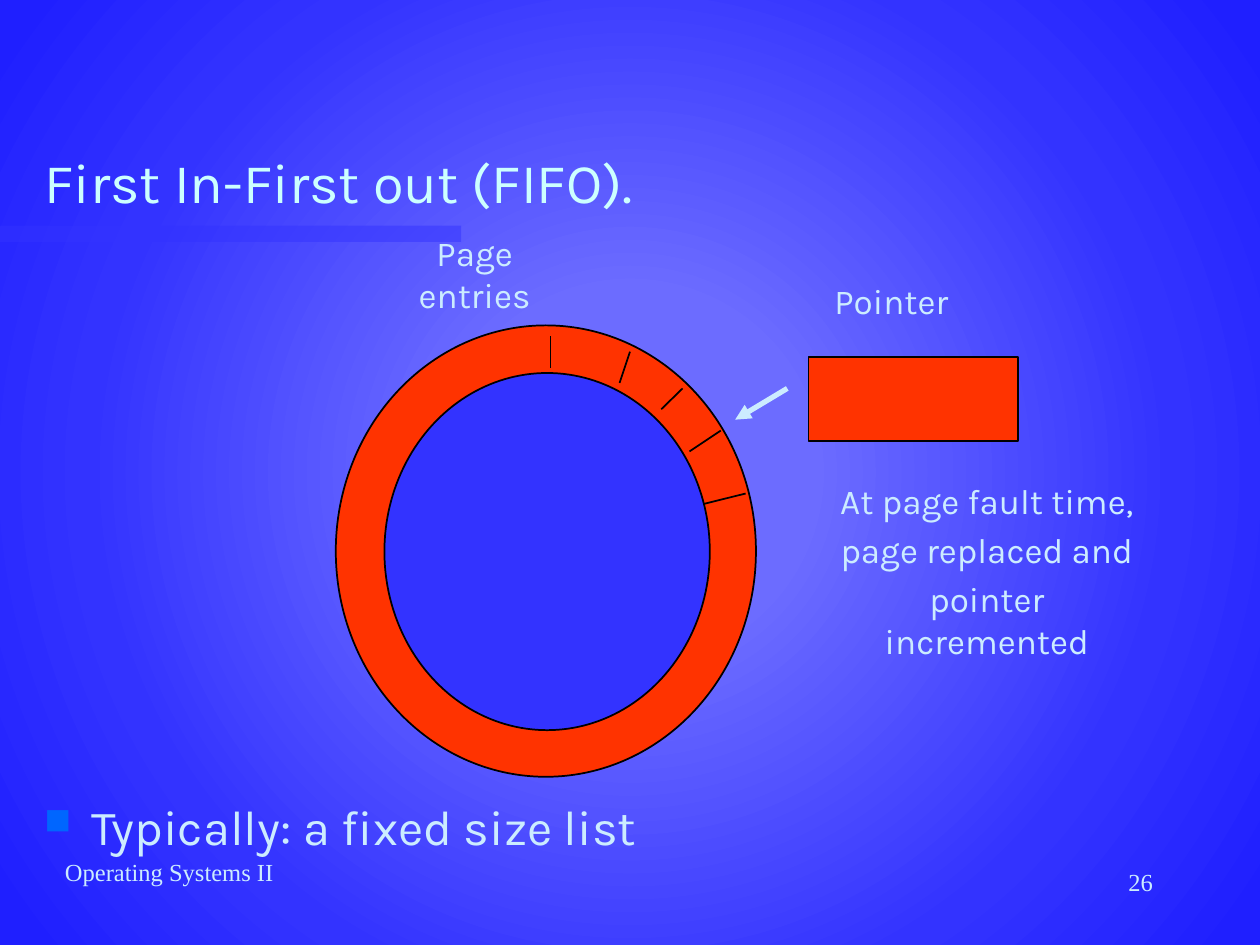
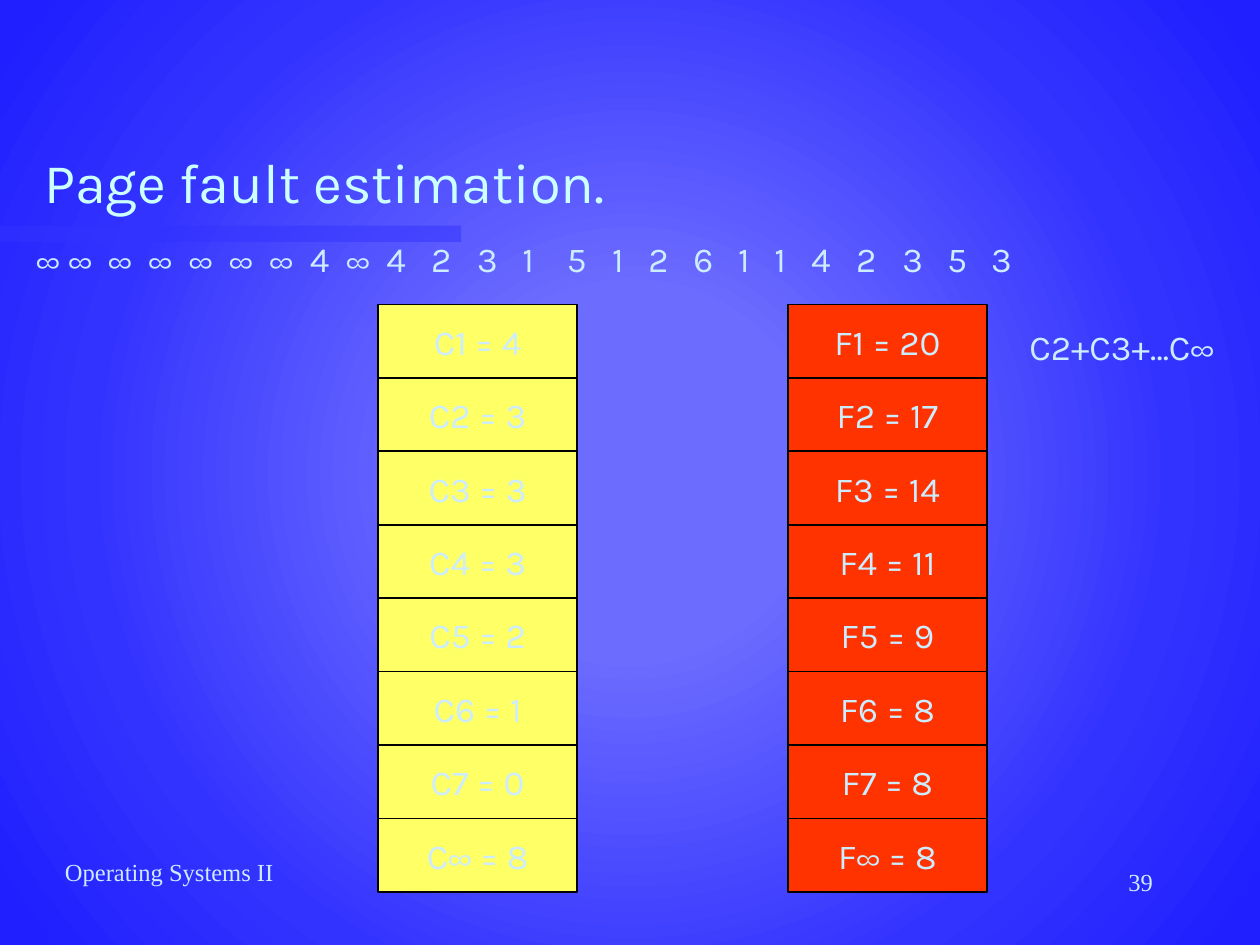
from lxml import etree
from pptx import Presentation
from pptx.dml.color import RGBColor
from pptx.enum.shapes import MSO_CONNECTOR, MSO_SHAPE
from pptx.enum.text import MSO_ANCHOR as ANCHOR, PP_ALIGN as ALIGN
from pptx.oxml import parse_xml
from pptx.oxml.ns import nsdecls, qn
from pptx.util import Cm, Pt

rgb = RGBColor.from_string
RED, YELLOW, BLUE, BLACK = "FF3300", "FFFF66", "3333FF", "000000"
PALE, TITLE_COLOUR, BULLET_COLOUR = "CCECFF", "CCFFFF", "0066FF"

LABEL = {"size": Pt(20), "name": "Karla"}
TITLE = {"size": Pt(32), "name": "Karla"}
BODY = {"size": Pt(28), "name": "Karla"}
FOOTER = {"size": Pt(14), "name": "Times New Roman"}


def write(shape, text, font=LABEL, colour=PALE, align=ALIGN.CENTER, before=4, **frame_format):
    """Fill the shape with one paragraph per line of text and return its frame."""
    frame = shape.text_frame
    settings = {"word_wrap": False, "vertical_anchor": ANCHOR.MIDDLE, **frame_format}
    for attribute, value in settings.items():
        setattr(frame, attribute, value)
    frame.text = text
    for paragraph in frame.paragraphs:
        paragraph.alignment = align
        paragraph.space_before = Pt(before)
        for attribute, value in font.items():
            setattr(paragraph.runs[0].font, attribute, value)
        paragraph.runs[0].font.color.rgb = rgb(colour)
    return frame


def add_filled(slide, preset, box, fill, outlined=True):
    shape = slide.shapes.add_shape(preset, *map(Cm, box))
    shape.shadow.inherit = False
    shape.fill.solid()
    shape.fill.fore_color.rgb = rgb(fill)
    if outlined:
        shape.line.color.rgb = rgb(BLACK)
        shape.line.width = Pt(1)
    else:
        shape.line.fill.background()
    return shape


prs = Presentation()
prs.slide_width, prs.slide_height = Cm(25.4), Cm(19.05)

# Shared radial background
master = prs.slide_master
master.background.fill.gradient()
gradient = master.element.find(".//" + qn("a:gradFill"))
stops = "".join(
    f'<a:gs pos="{percent * 1000}"><a:srgbClr val="{colour}"/></a:gs>'
    for percent, colour in [(0, "6C6CFF"), (23, "6C6CFF"), (69, BLUE), (97, "1F1FFF")]
)
gradient.getparent().replace(gradient, parse_xml(
    f'<a:gradFill {nsdecls("a")} rotWithShape="0"><a:gsLst>{stops}</a:gsLst><a:path path="circle">'
    '<a:fillToRect l="50000" t="50000" r="50000" b="50000"/></a:path></a:gradFill>'
))

# Shared band, footer, page number and title
slides = []
for title, page in [("First In-First out (FIFO).", "26"), ("Page fault estimation.", "39")]:
    slide = prs.slides.add_slide(prs.slide_layouts[6])
    band = add_filled(slide, MSO_SHAPE.RECTANGLE, (0, 4.55, 9.3, 0.33), BLUE, outlined=False)
    band_colour = band.fill._xPr.find(".//" + qn("a:srgbClr"))
    etree.SubElement(band_colour, qn("a:alpha"), val="50000")
    for text, box, font, colour, align, anchor in [
        ("Operating Systems II", (1.06, 17.15, 8.05, 1.27), FOOTER, PALE, ALIGN.LEFT, ANCHOR.TOP),
        (page, (18.2, 17.36, 5.29, 1.27), FOOTER, PALE, ALIGN.RIGHT, ANCHOR.TOP),
        (title, (0.64, 1.27, 21.59, 3.18), TITLE, TITLE_COLOUR, ALIGN.LEFT, ANCHOR.BOTTOM),
    ]:
        write(slide.shapes.add_textbox(*map(Cm, box)), text, font, colour, align,
              before=2 if font is FOOTER else 0, word_wrap=True, vertical_anchor=anchor)
    slides.append(slide)
fifo, estimation = slides

# FIFO: bullet below the ring
typical_list = fifo.shapes.add_textbox(*map(Cm, (0.64, 15.93, 21.59, 1.47)))
typical = write(typical_list, "Typically: a fixed size list", BODY, align=ALIGN.LEFT, before=2,
                word_wrap=True, vertical_anchor=ANCHOR.TOP).paragraphs[0]
bullet = typical._p.get_or_add_pPr()
bullet.set("marL", str(Cm(0.95)))
bullet.set("indent", str(-Cm(0.95)))
bullet_colour = etree.SubElement(bullet, qn("a:buClr"))
etree.SubElement(bullet_colour, qn("a:srgbClr"), val=BULLET_COLOUR)
etree.SubElement(bullet, qn("a:buSzPct"), val="75000")
etree.SubElement(bullet, qn("a:buChar"), char="■")

# FIFO: ring of page entries and the pointer
for preset, box, fill in [
    (MSO_SHAPE.OVAL, (6.77, 6.56, 8.47, 9.1), RED),
    (MSO_SHAPE.OVAL, (7.75, 7.52, 6.56, 7.2), BLUE),
    (MSO_SHAPE.RECTANGLE, (16.3, 7.2, 4.23, 1.69), RED),
]:
    add_filled(fifo, preset, box, fill)

pointer_arrow = (15.87, 7.83, 14.82, 8.46)
entry_dividers = [
    (11.1, 7.41, 11.1, 6.77),
    (12.49, 7.72, 12.7, 7.09),
    (13.33, 8.25, 13.76, 7.83),
    (13.9, 9.1, 14.53, 8.68),
    (14.18, 10.16, 15.03, 9.95),
]
for ends in [pointer_arrow, *entry_dividers]:
    is_pointer = ends is pointer_arrow
    line = fifo.shapes.add_connector(MSO_CONNECTOR.STRAIGHT, *map(Cm, ends))
    line.line.color.rgb = rgb(PALE if is_pointer else BLACK)
    line.line.width = Pt(3 if is_pointer else 1)
    if is_pointer:
        etree.SubElement(line.line._get_or_add_ln(), qn("a:tailEnd"), type="triangle")
    etree.SubElement(line._element.spPr, qn("a:effectLst"))

for text, box, frame_format in [
    ("Pointer", (16.51, 5.5, 2.92, 1.1), {}),
    ("Page entries", (8.2, 4.96, 4.34, 1.1),
     {"word_wrap": True, "margin_left": 0, "margin_right": Cm(1.6)}),
    ("At page fault time,\npage replaced and\npointer incremented",
     (16.51, 9.95, 6.77, 3.12), {"word_wrap": True}),
]:
    write(fifo.shapes.add_textbox(*map(Cm, box)), text, **frame_format)

# Page fault estimation: stack distances, aligned on tab stops
distances = "∞ ∞ ∞ ∞ ∞ ∞ ∞ 4 ∞ 4 2 3 1 5 1 2 6 1 1 4 2 3 5 3".split()
distance_stops = [
    0.65, 1.45, 2.26, 3.08, 3.89, 4.7, 5.52, 6.25, 7.06, 7.96, 8.89, 9.8,
    10.7, 11.61, 12.34, 13.25, 14.15, 14.88, 15.62, 16.53, 17.46, 18.37, 19.25,
]
distance_row = estimation.shapes.add_textbox(*map(Cm, (0.48, 4.65, 24.8, 1.12)))
sequence = write(distance_row, "\t".join(distances), align=ALIGN.LEFT, word_wrap=True).paragraphs[0]
tab_list = etree.SubElement(sequence._p.get_or_add_pPr(), qn("a:tabLst"))
for stop in distance_stops:
    etree.SubElement(tab_list, qn("a:tab"), pos=str(Cm(stop)), algn="l")

# Page fault estimation: counts and resulting faults
ROW_TOP, ROW_HEIGHT, COLUMN_WIDTH = 6.14, 1.48, 4.02
for letter, left, fill, values in [
    ("C", 7.62, YELLOW, [4, 3, 3, 3, 2, 1, 0, 8]),
    ("F", 15.88, RED, [20, 17, 14, 11, 9, 8, 8, 8]),
]:
    for row, (index, value) in enumerate(zip("1234567∞", values)):
        box = (left, ROW_TOP + row * ROW_HEIGHT, COLUMN_WIDTH, ROW_HEIGHT)
        write(add_filled(estimation, MSO_SHAPE.RECTANGLE, box, fill), f"{letter}{index} = {value}")

fault_sum = estimation.shapes.add_textbox(*map(Cm, (20.5, 6.42, 4.83, 1.12)))
write(fault_sum, "C2+C3+…C∞", align=ALIGN.LEFT)

prs.save("out.pptx")
